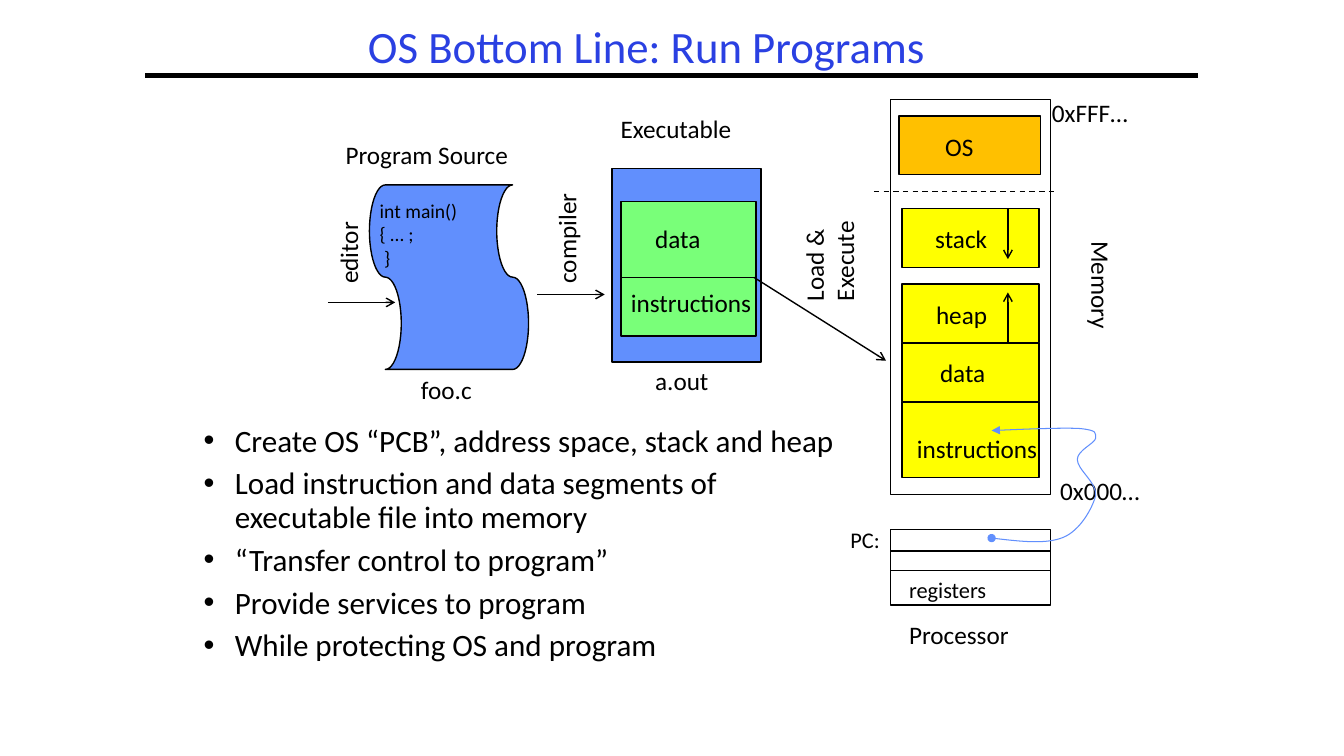
from lxml.etree import SubElement
from pptx import Presentation
from pptx.dml.color import RGBColor
from pptx.enum.dml import MSO_LINE
from pptx.enum.shapes import MSO_CONNECTOR, MSO_SHAPE
from pptx.enum.text import MSO_ANCHOR, MSO_AUTO_SIZE, PP_ALIGN
from pptx.oxml.ns import qn
from pptx.util import Cm, Pt

FONT = "Calibri"
BLACK = RGBColor(0x00, 0x00, 0x00)
TITLE_BLUE = RGBColor(0x2A, 0x40, 0xE2)
BLUE = RGBColor(0x61, 0x8F, 0xFD)
GREEN = RGBColor(0x79, 0xFF, 0x79)
YELLOW = RGBColor(0xFF, 0xFF, 0x00)
ORANGE = RGBColor(0xFF, 0xC0, 0x00)

TITLE = "OS Bottom Line: Run Programs"
BULLETS = [
    "Create OS “PCB”, address space, stack and heap",
    "Load instruction and data segments of executable file into memory",
    "“Transfer control to program”",
    "Provide services to program",
    "While protecting OS and program",
]
CODE = "int main()\n{ … ;\n }"

# left, top, width, height (cm), fill
RECTANGLES = [
    (15.42, 4.24, 3.76, 4.88, BLUE),      # executable
    (15.65, 5.08, 3.4, 1.91, GREEN),      # its data
    (15.65, 6.99, 3.4, 1.48, GREEN),      # its instructions
    (22.45, 2.51, 4.02, 9.96, None),      # memory
    (22.66, 2.92, 3.56, 1.48, ORANGE),    # OS
    (22.73, 5.26, 3.46, 1.48, YELLOW),    # stack
    (22.73, 7.16, 3.46, 1.48, YELLOW),    # heap
    (22.73, 8.64, 3.46, 1.48, YELLOW),    # data
    (22.73, 10.13, 3.46, 1.91, YELLOW),   # instructions
    (22.45, 13.34, 4.02, 1.91, None),     # processor
    (22.45, 13.89, 4.02, 0.48, None),     # register row
]

# text, left, top, width, height (cm), size (pt), rotation
LABELS = [
    (CODE, 9.32, 4.88, 2.72, 2.06, 14, 0),
    ("editor", 7.72, 5.84, 2.11, 1.02, 18, 270),
    ("Program Source", 8.46, 3.38, 5.18, 1.02, 18, 0),
    ("foo.c", 10.36, 9.32, 1.91, 1.02, 18, 0),
    ("compiler", 12.8, 5.41, 2.95, 1.02, 18, 270),
    ("Executable", 15.39, 2.74, 3.68, 1.02, 18, 0),
    ("a.out", 16.26, 9.09, 1.93, 1.02, 18, 0),
    ("data", 16.26, 5.51, 1.75, 1.02, 18, 0),
    ("instructions", 15.65, 7.11, 3.76, 1.02, 18, 0),
    ("Memory", 26.34, 6.73, 2.82, 1.02, 18, 90),
    ("0xFFF…", 26.26, 2.34, 3, 1.02, 18, 0),
    ("0x000…", 26.47, 11.86, 2.9, 1.02, 18, 0),
    ("OS", 23.57, 3.18, 1.45, 1.02, 18, 0),
    ("stack", 23.32, 5.51, 2.01, 1.02, 18, 0),
    ("heap", 23.34, 7.42, 1.93, 1.02, 18, 0),
    ("data", 23.44, 8.89, 1.75, 1.02, 18, 0),
    ("instructions", 22.86, 10.8, 3.76, 1.02, 18, 0),
    ("PC:", 21.18, 13.13, 1.47, 0.94, 16, 0),
    ("registers", 22.66, 14.4, 2.69, 0.94, 16, 0),
    ("Processor", 22.66, 15.49, 3.4, 1.02, 18, 0),
]
LOAD_LABEL = ("Load & Execute", 19.33, 5.36, 3.15, 1.8, 18, 270)

# start x, start y, end x, end y (cm)
TITLE_RULE = (3.66, 1.9, 30.2, 1.9)
MEMORY_DIVIDER = (22.02, 4.83, 26.67, 4.83)
ARROWS = [
    (8.26, 7.62, 9.96, 7.62),      # editor
    (13.54, 7.42, 15.24, 7.42),    # compiler
    (19, 6.99, 22.33, 9.09),       # load and execute
    (25.4, 5.26, 25.4, 6.53),      # stack grows down
    (25.4, 8.64, 25.4, 7.37),      # heap grows up
]

# Start point, then two control points and an end point per curve (cm)
PC_POINTER = [
    (24.99, 13.56),
    (25.68, 13.64), (26.37, 13.72), (26.8, 13.54),
    (27.23, 13.36), (27.53, 12.8), (27.61, 12.5),
    (27.66, 12.17), (27.15, 11.84), (27.15, 11.58),
    (27.15, 11.35), (27.58, 11.18), (27.61, 11.05),
    (27.61, 10.9), (27.66, 10.85), (27.23, 10.8),
    (26.8, 10.77), (24.99, 10.85), (24.99, 10.85),
]


def style_text(para, size, color=BLACK):
    for span in para.runs:
        span.font.name = FONT
        span.font.size = Pt(size)
        span.font.color.rgb = color


def add_outline(kind, left, top, width, height, fill):
    shape = page.shapes.add_shape(kind, Cm(left), Cm(top), Cm(width), Cm(height))
    shape.shadow.inherit = False
    if fill is None:
        shape.fill.background()
    else:
        shape.fill.solid()
        shape.fill.fore_color.rgb = fill
    shape.line.color.rgb = BLACK
    shape.line.width = Pt(1)
    return shape


def add_label(text, left, top, width, height, size, rotation, wrap=False):
    box = page.shapes.add_textbox(Cm(left), Cm(top), Cm(width), Cm(height))
    box.rotation = rotation
    frame = box.text_frame
    frame.text = text
    frame.word_wrap = wrap
    frame.auto_size = MSO_AUTO_SIZE.SHAPE_TO_FIT_TEXT
    for para in frame.paragraphs:
        style_text(para, size)


def add_line(ends, width=1):
    line = page.shapes.add_connector(MSO_CONNECTOR.STRAIGHT, *map(Cm, ends))
    line.line.color.rgb = BLACK
    line.line.width = Pt(width)
    SubElement(line._element.spPr, qn("a:effectLst"))
    return line


def add_line_end(shape, tag, kind):
    SubElement(shape.line._get_or_add_ln(), qn(tag), type=kind)


def add_curve(points):
    """Draw the points as a chain of cubic curves."""
    start, *rest = [(Cm(x), Cm(y)) for x, y in points]
    builder = page.shapes.build_freeform(*start)
    builder.add_line_segments(rest, close=False)
    curve = builder.convert_to_shape()
    outline = next(curve._element.iter(qn("a:path")))
    segments = outline.findall(qn("a:lnTo"))
    for first in range(0, len(segments), 3):
        cubic = SubElement(outline, qn("a:cubicBezTo"))
        for segment in segments[first:first + 3]:
            cubic.append(segment[0])
            outline.remove(segment)
    curve.shadow.inherit = False
    curve.fill.background()
    curve.line.color.rgb = BLUE
    curve.line.width = Pt(0.75)
    return curve


def add_bullet(para):
    properties = para._p.get_or_add_pPr()
    properties.set("marL", str(Cm(0.79)))
    properties.set("indent", str(-Cm(0.79)))
    SubElement(properties, qn("a:buFont"), typeface="Arial")
    SubElement(properties, qn("a:buChar"), char="•")


deck = Presentation()
deck.slide_width, deck.slide_height = Cm(33.87), Cm(19.05)
page = deck.slides.add_slide(deck.slide_layouts[6])

add_line(TITLE_RULE, 3)
title_box = page.shapes.add_textbox(Cm(6.35), Cm(0.51), Cm(19.89), Cm(1.47))
title_box.text_frame.text = TITLE
title_box.text_frame.word_wrap = True
title_box.text_frame.vertical_anchor = MSO_ANCHOR.MIDDLE
title_para = title_box.text_frame.paragraphs[0]
title_para.alignment = PP_ALIGN.CENTER
title_para.line_spacing = 0.9
style_text(title_para, 32, TITLE_BLUE)

source_file = add_outline(MSO_SHAPE.FLOWCHART_PUNCHED_TAPE, 8.99, 4.98, 4.65, 4.01, BLUE)
source_file.rotation = 90
for rectangle in RECTANGLES:
    add_outline(MSO_SHAPE.RECTANGLE, *rectangle)
for label in LABELS:
    add_label(*label)
add_label(*LOAD_LABEL, wrap=True)
for ends in ARROWS:
    add_line_end(add_line(ends), "a:tailEnd", "arrow")
add_line(MEMORY_DIVIDER).line.dash_style = MSO_LINE.DASH
pointer = add_curve(PC_POINTER)
add_line_end(pointer, "a:headEnd", "oval")
add_line_end(pointer, "a:tailEnd", "triangle")

bullet_box = page.shapes.add_textbox(Cm(4.88), Cm(10.59), Cm(16.89), Cm(6.99))
bullet_frame = bullet_box.text_frame
bullet_frame.word_wrap = True
bullet_frame.text = "\n".join(BULLETS)
for index, para in enumerate(bullet_frame.paragraphs):
    add_bullet(para)
    para.line_spacing = 0.9
    if index:
        para.space_before = Pt(6.6)
    style_text(para, 22.2)

deck.save("out.pptx")
